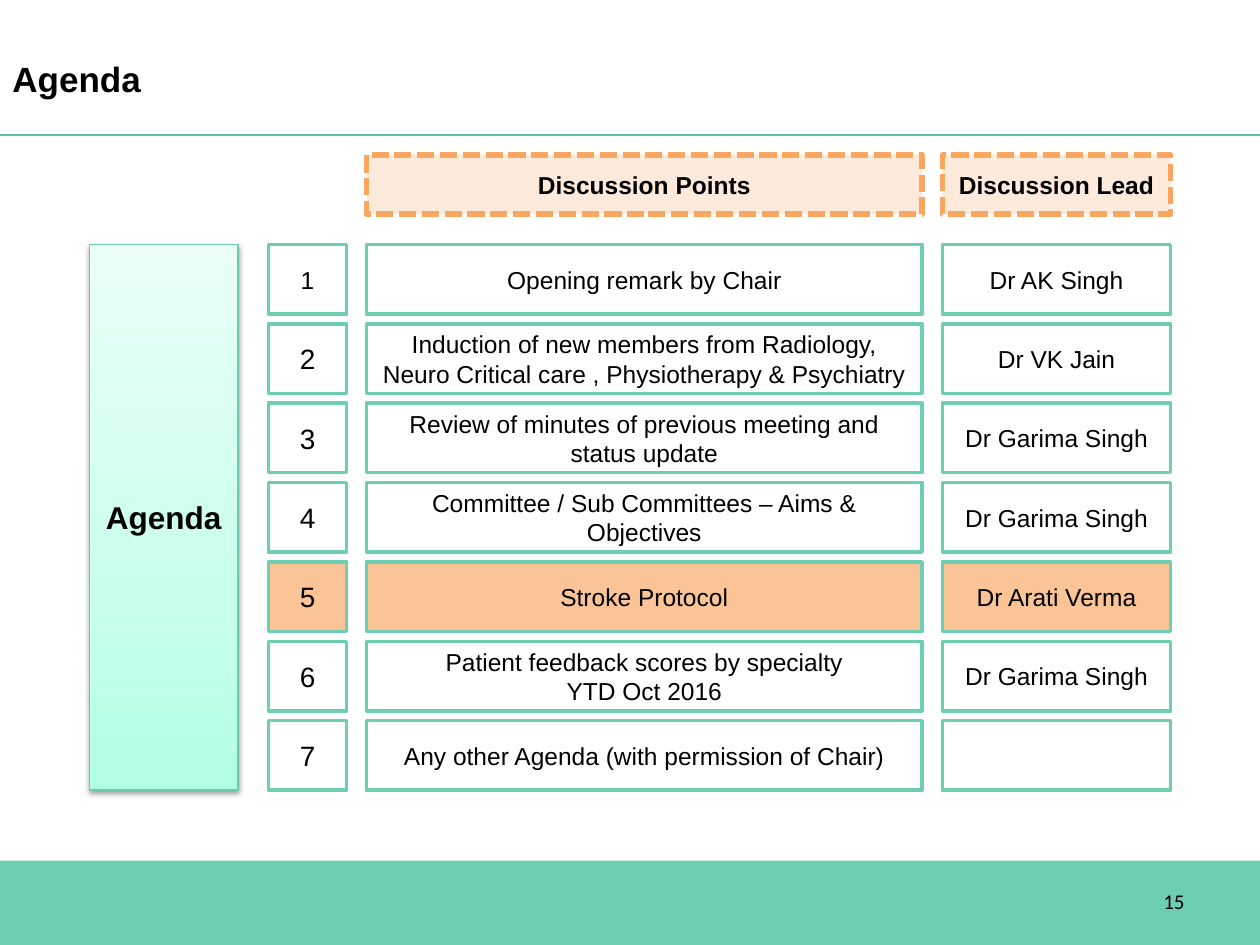
from copy import deepcopy

from lxml import etree
from pptx import Presentation
from pptx.dml.color import RGBColor
from pptx.enum.dml import MSO_LINE
from pptx.enum.shapes import MSO_CONNECTOR, MSO_SHAPE
from pptx.enum.text import MSO_ANCHOR, PP_ALIGN
from pptx.oxml.ns import qn
from pptx.util import Cm, Pt

RECTANGLE = MSO_SHAPE.RECTANGLE
STRAIGHT = MSO_CONNECTOR.STRAIGHT
SQUARE_DASH = MSO_LINE.SQUARE_DOT
MIDDLE = MSO_ANCHOR.MIDDLE
LEFT, CENTER, RIGHT = PP_ALIGN.LEFT, PP_ALIGN.CENTER, PP_ALIGN.RIGHT

BLACK = RGBColor(0x00, 0x00, 0x00)
WHITE = RGBColor(0xFF, 0xFF, 0xFF)
GREEN = RGBColor(0x6E, 0xCE, 0xB2)
TEAL = RGBColor(0x5D, 0xBA, 0xB0)
SIDEBAR_EDGE = RGBColor(0x69, 0xCC, 0xAF)
MINT = RGBColor(0xB1, 0xFF, 0xE4)
LIGHT_MINT = RGBColor(0xC8, 0xFF, 0xEB)
PALE_MINT = RGBColor(0xEA, 0xFF, 0xF7)
ORANGE = RGBColor(0xF9, 0xA6, 0x61)
PEACH = RGBColor(0xFB, 0xC4, 0x96)
PALE_PEACH = RGBColor(0xFD, 0xEA, 0xDA)

TITLE = "Agenda"
PAGE_NUMBER = "15"
HEADERS = ["Discussion Points", "Discussion Lead"]
ITEMS = [
    ("Opening remark by Chair", "Dr AK Singh"),
    ("Induction of new members from Radiology, Neuro Critical care , "
     "Physiotherapy & Psychiatry", "Dr VK Jain"),
    ("Review of minutes of previous meeting and status update", "Dr Garima Singh"),
    ("Committee / Sub Committees – Aims & Objectives", "Dr Garima Singh"),
    ("Stroke Protocol", "Dr Arati Verma"),
    ("Patient feedback scores by specialty\nYTD Oct 2016", "Dr Garima Singh"),
    ("Any other Agenda (with permission of Chair)", ""),
]
CURRENT_ITEM = 5

SLIDE_WIDTH, SLIDE_HEIGHT = 25.4, 19.05
FOOTER_TOP = 17.35
RULE_TOP = 2.72
NUMBER_COLUMN = (5.41, 1.58)
TEXT_COLUMNS = [(7.39, 11.2), (19, 4.6)]
HEADER_TOP, HEADER_HEIGHT = 3.12, 1.2
ROWS_TOP, ROW_HEIGHT, ROW_PITCH = 4.93, 1.4, 1.6
SIDEBAR_LEFT, SIDEBAR_WIDTH = 1.8, 3
CELL_INSETS = (0.2, 0.1)


def write(holder, text, size, align=CENTER, bold=False, font="Arial", insets=(0.25, 0.13)):
    frame = holder.text_frame
    frame.word_wrap = True
    frame.vertical_anchor = MIDDLE
    frame.margin_left = frame.margin_right = Cm(insets[0])
    frame.margin_top = frame.margin_bottom = Cm(insets[1])
    frame.text = text
    for paragraph in frame.paragraphs:
        paragraph.alignment = align
        for run in paragraph.runs:
            run.font.name = font
            run.font.size = Pt(size)
            run.font.bold = bold
            run.font.color.rgb = BLACK


def add_box(slide, left, top, width, height, fill, edge=None, edge_width=2):
    box = slide.shapes.add_shape(RECTANGLE, Cm(left), Cm(top), Cm(width), Cm(height))
    box.shadow.inherit = False
    box.fill.solid()
    box.fill.fore_color.rgb = fill
    if edge is None:
        box.line.fill.background()
    else:
        box.line.color.rgb = edge
        box.line.width = Pt(edge_width)
    return box


def add_label(slide, text, left, top, width, height, size, **style):
    label = slide.shapes.add_textbox(Cm(left), Cm(top), Cm(width), Cm(height))
    write(label, text, size, **style)


def add_frame(slide):
    add_box(slide, 0, FOOTER_TOP, SLIDE_WIDTH, SLIDE_HEIGHT - FOOTER_TOP, GREEN)
    rule = slide.shapes.add_connector(STRAIGHT, 0, Cm(RULE_TOP), Cm(SLIDE_WIDTH), Cm(RULE_TOP))
    rule.line.color.rgb = TEAL
    rule.line.width = Pt(0.75)
    etree.SubElement(rule._element.spPr, qn("a:effectLst"))
    add_label(slide, PAGE_NUMBER, 18.21, 17.65, 5.92, 1.02, 12, align=RIGHT, font="Calibri")
    add_label(slide, TITLE, 0, 0.41, 22.86, 2.34, 20, align=LEFT, bold=True)


def add_sidebar(slide):
    height = (len(ITEMS) - 1) * ROW_PITCH + ROW_HEIGHT
    sidebar = add_box(slide, SIDEBAR_LEFT, ROWS_TOP, SIDEBAR_WIDTH, height,
                      MINT, SIDEBAR_EDGE, 0.75)
    sidebar.fill.gradient()
    sidebar.fill.gradient_angle = 90
    properties = sidebar._element.spPr
    stop_list = properties.find(f"{qn('a:gradFill')}/{qn('a:gsLst')}")
    stop_list.insert(1, deepcopy(stop_list[0]))
    stops = [(0, MINT), (0.35, LIGHT_MINT), (1, PALE_MINT)]
    for stop, (position, color) in zip(sidebar.fill.gradient_stops, stops):
        stop.position = position
        stop.color.rgb = color

    effects = properties.find(qn("a:effectLst"))
    shadow = etree.SubElement(effects, qn("a:outerShdw"), blurRad=str(Pt(3.1)),
                              dist=str(Pt(1.6)), dir="5400000", rotWithShape="0")
    shade = etree.SubElement(shadow, qn("a:srgbClr"), val=str(BLACK))
    etree.SubElement(shade, qn("a:alpha"), val="38000")
    write(sidebar, TITLE, 18, bold=True)


def add_agenda(slide):
    for header, (left, width) in zip(HEADERS, TEXT_COLUMNS):
        box = add_box(slide, left, HEADER_TOP, width, HEADER_HEIGHT, PALE_PEACH, ORANGE, 3.25)
        box.line.dash_style = SQUARE_DASH
        write(box, header, 14, bold=True, insets=CELL_INSETS)

    for number, item in enumerate(ITEMS, start=1):
        top = ROWS_TOP + (number - 1) * ROW_PITCH
        fill = PEACH if number == CURRENT_ITEM else WHITE
        left, width = NUMBER_COLUMN
        number_box = add_box(slide, left, top, width, ROW_HEIGHT, fill, GREEN)
        write(number_box, str(number), 14 if number == 1 else 16, insets=(0, 0))
        for text, (left, width) in zip(item, TEXT_COLUMNS):
            cell = add_box(slide, left, top, width, ROW_HEIGHT, fill, GREEN)
            if text:
                write(cell, text, 14, insets=CELL_INSETS)


def main():
    deck = Presentation()
    deck.slide_width, deck.slide_height = Cm(SLIDE_WIDTH), Cm(SLIDE_HEIGHT)
    slide = deck.slides.add_slide(deck.slide_layouts[6])
    add_frame(slide)
    add_sidebar(slide)
    add_agenda(slide)
    deck.save("out.pptx")


if __name__ == "__main__":
    main()
